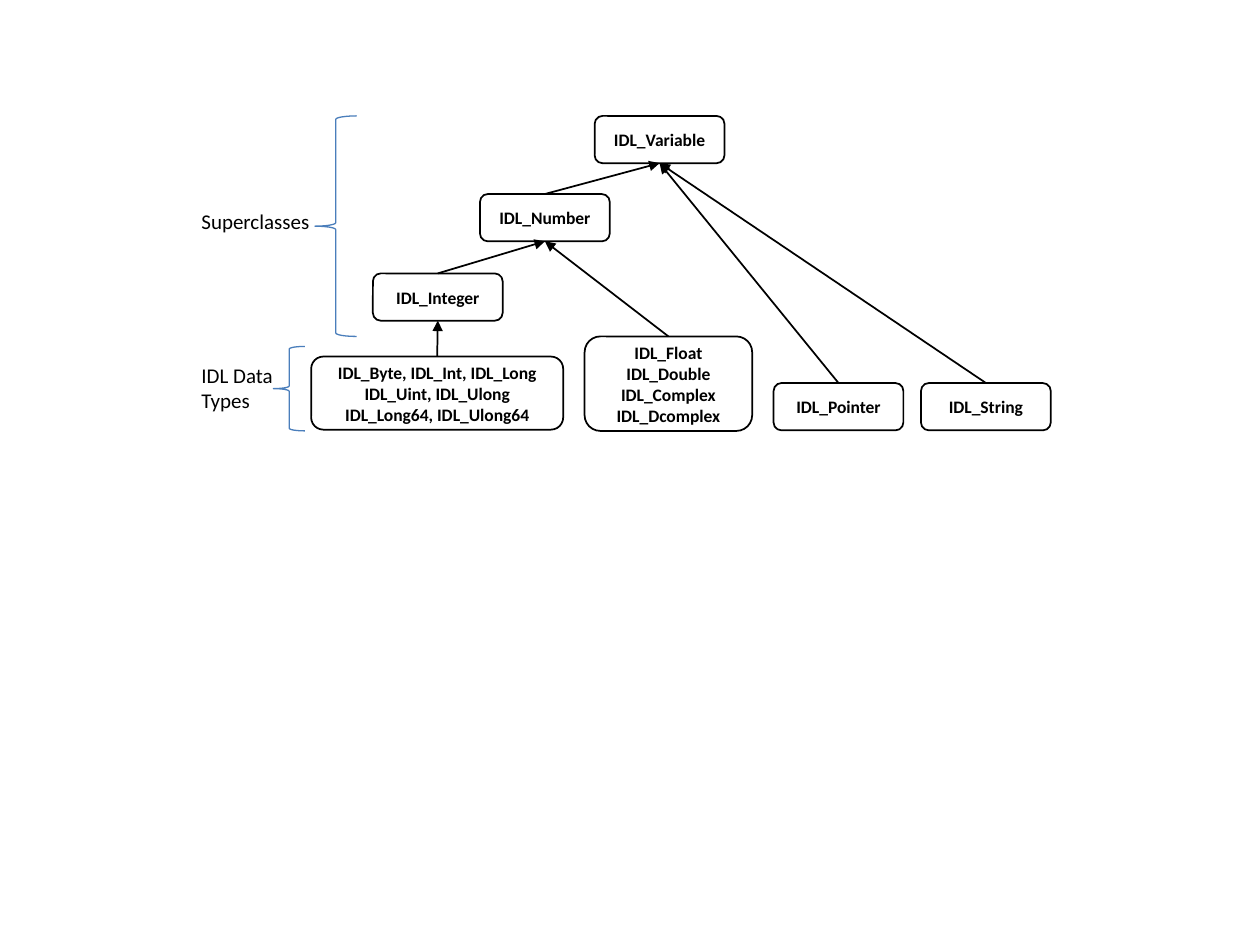
import pptx
import pptx.dml.color
import pptx.enum.shapes
import pptx.enum.text
import pptx.oxml
import pptx.oxml.ns
import pptx.util
from pptx.util import Inches

BLACK = pptx.dml.color.RGBColor(0x00, 0x00, 0x00)
WHITE = pptx.dml.color.RGBColor(0xFF, 0xFF, 0xFF)
BRACE_BLUE = pptx.dml.color.RGBColor(0x4A, 0x7E, 0xBB)
SHAPES = pptx.enum.shapes.MSO_SHAPE
TOP_SITE, BOTTOM_SITE = 0, 2
CLASS_WIDTH, CLASS_HEIGHT = 1.03, 0.375

CLASSES = {
    "variable": (3.22, 0, CLASS_WIDTH, CLASS_HEIGHT, ["IDL_Variable"]),
    "number": (2.31, 0.62, CLASS_WIDTH, CLASS_HEIGHT, ["IDL_Number"]),
    "integer": (1.46, 1.25, CLASS_WIDTH, CLASS_HEIGHT, ["IDL_Integer"]),
    "pointer": (4.64, 2.12, CLASS_WIDTH, CLASS_HEIGHT, ["IDL_Pointer"]),
    "string": (5.81, 2.12, CLASS_WIDTH, CLASS_HEIGHT, ["IDL_String"]),
    "integer types": (0.97, 1.91, 2, 0.58, [
        "IDL_Byte, IDL_Int, IDL_Long",
        "IDL_Uint, IDL_Ulong",
        "IDL_Long64, IDL_Ulong64",
    ]),
    "float types": (3.14, 1.75, 1.33, 0.75, [
        "IDL_Float", "IDL_Double", "IDL_Complex", "IDL_Dcomplex",
    ]),
}
PARENTS = [
    ("number", "variable"),
    ("pointer", "variable"),
    ("string", "variable"),
    ("integer", "number"),
    ("integer types", "integer"),
    ("float types", "number"),
]
LEVELS = [
    ("Superclasses", 0.69, 0.3, (1, 0, 0.33, 1.75)),
    ("IDL Data Types", 1.91, 0.5, (0.67, 1.83, 0.25, 0.67)),
]


def write_lines(frame, lines, size, bold, alignment):
    frame.word_wrap = True
    for index, line in enumerate(lines):
        paragraph = frame.add_paragraph() if index else frame.paragraphs[0]
        paragraph.alignment = alignment
        run = paragraph.add_run()
        run.text = line
        run.font.name = "Calibri"
        run.font.size = pptx.util.Pt(size)
        run.font.bold = bold
        run.font.color.rgb = BLACK


def add_class(slide, left, top, width, height, names):
    box = slide.shapes.add_shape(
        SHAPES.ROUNDED_RECTANGLE, left, top, width, height)
    box.shadow.inherit = False
    box.fill.solid()
    box.fill.fore_color.rgb = WHITE
    box.line.color.rgb = BLACK
    box.line.width = pptx.util.Pt(1)
    box.text_frame.vertical_anchor = pptx.enum.text.MSO_ANCHOR.MIDDLE
    write_lines(box.text_frame, names, 10, True,
                pptx.enum.text.PP_ALIGN.CENTER)
    return box


def add_inheritance(slide, child, parent):
    arrow = slide.shapes.add_connector(
        pptx.enum.shapes.MSO_CONNECTOR.STRAIGHT, 0, 0, 0, 0)
    arrow.begin_connect(child, TOP_SITE)
    arrow.end_connect(parent, BOTTOM_SITE)
    arrow.line.color.rgb = BLACK
    arrow.line.width = pptx.util.Pt(1)
    head = pptx.oxml.parse_xml(
        f'<a:tailEnd {pptx.oxml.ns.nsdecls("a")} type="triangle"/>')
    arrow.line._get_or_add_ln().append(head)
    effects = pptx.oxml.parse_xml(
        f'<a:effectLst {pptx.oxml.ns.nsdecls("a")}/>')
    arrow._element.spPr.append(effects)


def add_hierarchy(slide, left, top):
    boxes = {}
    for key, (x, y, width, height, names) in CLASSES.items():
        boxes[key] = add_class(slide, left + Inches(x), top + Inches(y),
                               Inches(width), Inches(height), names)
    for child, parent in PARENTS:
        add_inheritance(slide, boxes[child], boxes[parent])


def add_level(slide, left, top, label, label_top, label_height, brace_box):
    caption = slide.shapes.add_textbox(
        left, top + Inches(label_top), Inches(1.08), Inches(label_height))
    write_lines(caption.text_frame, [label], 12, False,
                pptx.enum.text.PP_ALIGN.LEFT)
    x, y, width, height = map(Inches, brace_box)
    brace = slide.shapes.add_shape(
        SHAPES.LEFT_BRACE, left + x, top + y, width, height)
    brace.shadow.inherit = False
    brace.fill.background()
    brace.line.color.rgb = BRACE_BLUE
    brace.line.width = pptx.util.Pt(0.75)


def main():
    deck = pptx.Presentation()
    deck.slide_width, deck.slide_height = Inches(10), Inches(7.5)
    slide = deck.slides.add_slide(deck.slide_layouts[6])
    left, top = Inches(1.5), Inches(0.92)
    add_hierarchy(slide, left, top)
    for level in LEVELS:
        add_level(slide, left, top, *level)
    deck.save("out.pptx")


if __name__ == "__main__":
    main()
